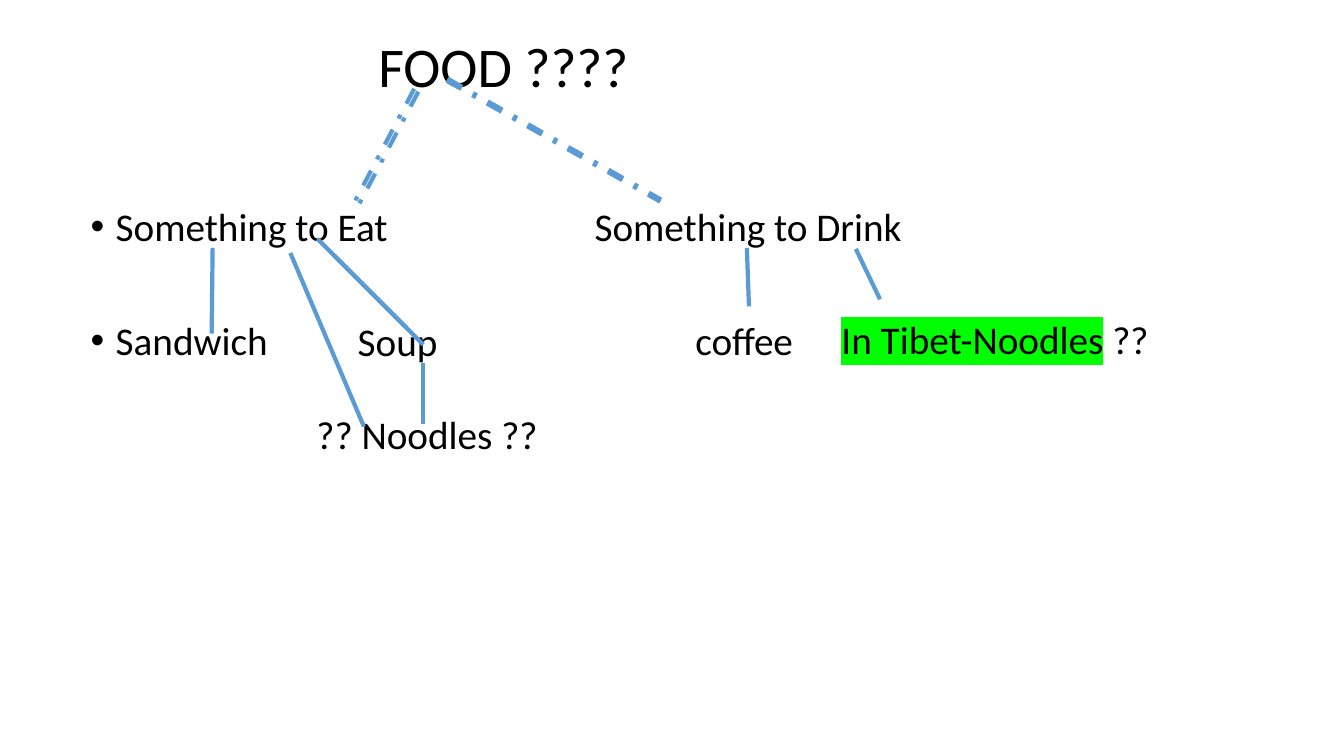
"""Build a food word map whose branches are joined by solid and dash-dot lines."""
from dataclasses import dataclass

from lxml import etree
from pptx import Presentation
from pptx.dml.color import RGBColor
from pptx.enum.dml import MSO_LINE
from pptx.enum.shapes import MSO_CONNECTOR
from pptx.enum.text import MSO_ANCHOR, MSO_AUTO_SIZE
from pptx.oxml.ns import qn
from pptx.util import Pt

BLACK = RGBColor(0x00, 0x00, 0x00)
BLUE = RGBColor(0x5B, 0x9B, 0xD5)
GREEN = RGBColor(0x00, 0xFF, 0x00)
STRAIGHT = MSO_CONNECTOR.STRAIGHT
DASH_DOT = MSO_LINE.DASH_DOT
SOLID = MSO_LINE.SOLID
TOP = MSO_ANCHOR.TOP
FIXED = MSO_AUTO_SIZE.NONE
GROW = MSO_AUTO_SIZE.SHAPE_TO_FIT_TEXT
BULLET_INDENT = Pt(18)


@dataclass(frozen=True)
class Words:
    text: str
    highlight: RGBColor | None = None


@dataclass(frozen=True)
class Line:
    words: tuple[Words, ...]
    size: float = 28
    tab: float | None = None
    format: tuple[tuple[str, float], ...] = ()


@dataclass(frozen=True)
class Label:
    left: float
    top: float
    width: float
    height: float
    lines: tuple[Line, ...]
    wrap: bool = True
    auto_size: MSO_AUTO_SIZE = GROW
    inset: float = 7.2


@dataclass(frozen=True)
class Branch:
    start: tuple[float, float]
    end: tuple[float, float]
    dash: MSO_LINE = SOLID


LABELS = (
    Label(57.6, 144.7, 828, 342.7, (
        Line((Words("Something to Eat\tSomething to Drink"),), tab=360,
             format=(("line_spacing", 0.9),)),
        Line((Words("Sandwich\tcoffee"),), tab=432,
             format=(("line_spacing", 0.9), ("space_before", Pt(51)))),
    ), auto_size=FIXED),
    Label(226.8, 18.7, 437.8, 147.6, (Line((Words("FOOD ????"),), size=40),),
          auto_size=FIXED, inset=43.4),
    Label(248.4, 223.2, 85.7, 41, (Line((Words("Soup"),)),)),
    Label(594, 221.8, 237.6, 41,
          (Line((Words("In Tibet-Noodles", GREEN), Words(" ??"))),), wrap=False),
    Label(218.9, 289.4, 174.2, 41, (Line((Words("?? Noodles ??"),)),), wrap=False),
)

BRANCHES = (
    Branch((319, 57.6), (471.6, 144), DASH_DOT),
    Branch((295.9, 63.4), (253.4, 144), DASH_DOT),
    Branch((319.7, 56.2), (472.3, 142.6), DASH_DOT),
    Branch((298.8, 65.5), (256.3, 146.2), DASH_DOT),
    Branch((151.2, 238.3), (151.9, 177.1)),
    Branch((533.5, 177.1), (535, 218.9)),
    Branch((226.8, 170.6), (290.2, 234)),
    Branch((628.6, 213.8), (611.3, 177.8)),
    Branch((239, 182.9), (302.4, 246.2)),
    Branch((302.4, 259.2), (302.4, 303.1)),
    Branch((207.4, 180.7), (259.9, 304.6)),
)


def set_all(target: object, values: dict[str, object]) -> None:
    for name, value in values.items():
        setattr(target, name, value)


def add_bullet_and_tab(paragraph, tab: float) -> None:
    properties = paragraph._p.get_or_add_pPr()
    properties.set("marL", str(BULLET_INDENT))
    properties.set("indent", str(-BULLET_INDENT))
    etree.SubElement(properties, qn("a:buFont"), typeface="Arial")
    etree.SubElement(properties, qn("a:buChar"), char="•")
    tabs = etree.SubElement(properties, qn("a:tabLst"))
    etree.SubElement(tabs, qn("a:tab"), pos=str(Pt(tab)), algn="l")


def add_words(paragraph, words: Words, size: float) -> None:
    run = paragraph.add_run()
    run.text = words.text
    run.font.color.rgb = BLACK
    set_all(run.font, {"size": Pt(size), "name": "Calibri"})
    if words.highlight is not None:
        highlight = etree.Element(qn("a:highlight"))
        etree.SubElement(highlight, qn("a:srgbClr"), val=str(words.highlight))
        run.font._element.find(qn("a:solidFill")).addnext(highlight)


def add_label(slide, label: Label) -> None:
    box = slide.shapes.add_textbox(
        Pt(label.left), Pt(label.top), Pt(label.width), Pt(label.height))
    frame = box.text_frame
    set_all(frame, {
        "word_wrap": label.wrap,
        "auto_size": label.auto_size,
        "margin_left": Pt(label.inset),
        "vertical_anchor": TOP,
    })
    for index, line in enumerate(label.lines):
        paragraph = frame.add_paragraph() if index else frame.paragraphs[0]
        set_all(paragraph, dict(line.format))
        if line.tab is not None:
            add_bullet_and_tab(paragraph, line.tab)
        for words in line.words:
            add_words(paragraph, words, line.size)


def add_branch(slide, branch: Branch) -> None:
    connector = slide.shapes.add_connector(
        STRAIGHT, *map(Pt, branch.start), *map(Pt, branch.end))
    connector.line.color.rgb = BLUE
    set_all(connector.line, {"width": Pt(3), "dash_style": branch.dash})
    etree.SubElement(connector._element.spPr, qn("a:effectLst"))


def main() -> None:
    presentation = Presentation()
    set_all(presentation, {"slide_width": Pt(960), "slide_height": Pt(540)})
    slide = presentation.slides.add_slide(presentation.slide_layouts[6])
    for label in LABELS:
        add_label(slide, label)
    for branch in BRANCHES:
        add_branch(slide, branch)
    presentation.save("out.pptx")


if __name__ == "__main__":
    main()
